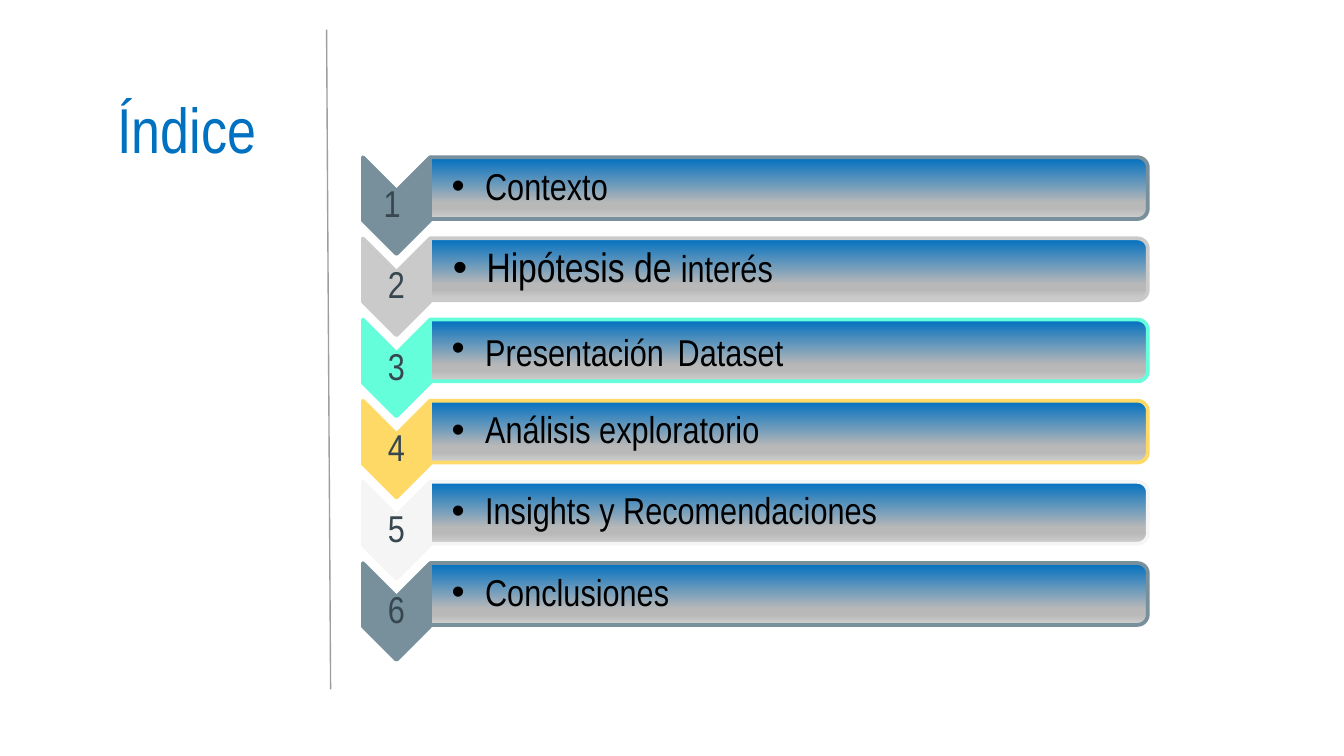
from dataclasses import dataclass
from typing import NamedTuple

from lxml.etree import SubElement
from pptx import Presentation
from pptx.dml.color import RGBColor as Rgb
from pptx.enum.shapes import MSO_CONNECTOR as Conn, MSO_SHAPE as Kind
from pptx.enum.text import MSO_ANCHOR as Anchor, PP_ALIGN as Align
from pptx.oxml import parse_xml
from pptx.oxml.ns import nsdecls, qn
from pptx.util import Inches, Pt


@dataclass(frozen=True)
class Theme:
    face: str = "Arial Narrow"
    wide: str = "Arial"
    blue: str = "0070C0"
    ink: str = "000000"
    digit: str = "37474F"
    rule: str = "9E9E9E"
    slate: str = "78909C"
    silver: str = "CACACA"
    mint: str = "64FFDA"
    gold: str = "FFD966"
    pale: str = "F5F5F5"
    fade: tuple = ((0, "0070C0"), (74, "B8B8B8"), (83, "B8B8B8"), (100, "D0D0D0"))
    title: int = 34
    body: int = 20
    large: int = 22
    space: int = 26


T = Theme()


class Run(NamedTuple):
    text: str
    size: int = T.body
    face: str = T.face


class Item(NamedTuple):
    label: str
    color: str
    runs: tuple
    inset: float = 0.01


ITEMS = (
    Item("1 ", T.slate, (Run("Contexto"),)),
    Item("2", T.silver, (Run("Hipótesis de ", T.large), Run("interés")), 0.02),
    Item("3", T.mint, (Run("Presentación"), Run(" ", T.space, T.wide), Run("Dataset"))),
    Item("4", T.gold, (Run("Análisis exploratorio"),)),
    Item("5", T.pale, (Run("Insights y Recomendaciones"),)),
    Item("6", T.slate, (Run("Conclusiones"),)),
)
WIDTH = Inches(10)
FIRST, LAST = 1.4, 4.42
PITCH = (LAST - FIRST) / (len(ITEMS) - 1)


def assign(target, **values) -> None:
    for name, value in values.items():
        setattr(target, name, value)


def box(x: float, y: float, w: float, h: float) -> tuple:
    """Turn a centre and a size into left, top, width, height."""
    return tuple(map(Inches, (x - w / 2, y - h / 2, w, h)))


def write(slide, area: tuple, runs: tuple, color: str, pad: float,
          left: float, frame: dict, para: dict):
    """Add a text box of one paragraph and return that paragraph."""
    body = slide.shapes.add_textbox(*area).text_frame
    side = Inches(pad)
    assign(body, word_wrap=True, margin_left=Inches(left), margin_right=side,
           margin_top=side, margin_bottom=side, **frame)
    line = body.paragraphs[0]
    assign(line, **para)
    for part in runs:
        run = line.add_run()
        run.text = part.text
        assign(run.font, name=part.face, size=Pt(part.size))
        run.font.color.rgb = Rgb.from_string(color)
    return line


def turned(slide, kind: Kind, area: tuple, color: str):
    """Add a preset shape turned a quarter clockwise."""
    shape = slide.shapes.add_shape(kind, *area)
    shape.rotation = 90
    shape.shadow.inherit = False
    shape.fill.solid()
    for paint in (shape.fill.fore_color, shape.line.color):
        paint.rgb = Rgb.from_string(color)
    shape.line.width = Pt(2)
    return shape


def shade(shape) -> None:
    """Fade the fill downwards, whatever the turn of the shape."""
    stops = "".join(
        f'<a:gs pos="{pos * 1000}"><a:srgbClr val="{tint}"/></a:gs>'
        for pos, tint in T.fade)
    grad = parse_xml(
        f'<a:gradFill {nsdecls("a")} rotWithShape="0"><a:gsLst>{stops}</a:gsLst>'
        '<a:lin ang="5400000" scaled="0"/></a:gradFill>')
    props = shape.element.spPr
    props.replace(props.find(qn("a:solidFill")), grad)


def bullet(line) -> None:
    props = line._p.get_or_add_pPr()
    step = Inches(0.25)
    props.set("marL", str(step))
    props.set("indent", str(-step))
    tint = SubElement(props, qn("a:buClr"))
    SubElement(tint, qn("a:srgbClr"), val=T.ink)
    SubElement(props, qn("a:buFont"), typeface=T.wide)
    SubElement(props, qn("a:buChar"), char="•")


def row(slide, item: Item, y: float) -> None:
    middle = {"vertical_anchor": Anchor.MIDDLE}
    low = y + 0.13
    turned(slide, Kind.CHEVRON, box(2.95, low, 0.72, 0.5), item.color)
    write(slide, box(2.95, low, 0.5, 0.21), (Run(item.label),), T.digit, 0.01,
          0.01, middle, {"alignment": Align.CENTER, "line_spacing": 0.9})
    bar = turned(slide, Kind.ROUND_2_SAME_RECTANGLE,
                 box(5.87, y, 0.46, 5.34), item.color)
    shade(bar)
    line = write(slide, box(5.86, y, 5.32, 0.42), item.runs, T.ink, item.inset,
                 item.inset + 0.15, middle, {"level": 1, "line_spacing": 0.9})
    bullet(line)


def rule(slide) -> None:
    ends = map(Inches, (2.43, 0.22, 2.46, 5.13))
    line = slide.shapes.add_connector(Conn.STRAIGHT, *ends)
    line.line.color.rgb = Rgb.from_string(T.rule)
    line.line.width = Pt(0.75)
    SubElement(line.element.spPr, qn("a:effectLst"))


def main() -> None:
    deck = Presentation()
    assign(deck, slide_width=WIDTH, slide_height=WIDTH * 9 // 16)
    slide = deck.slides.add_slide(deck.slide_layouts[6])
    write(slide, box(1.47, 0.8, 1.39, 0.63), (Run("Índice", T.title),), T.blue,
          0.1, 0.1, {"vertical_anchor": Anchor.TOP},
          {"line_spacing": 1.15, "space_before": Pt(12)})
    for i, item in enumerate(ITEMS):
        row(slide, item, FIRST + i * PITCH)
    rule(slide)
    deck.save("out.pptx")


if __name__ == "__main__":
    main()
